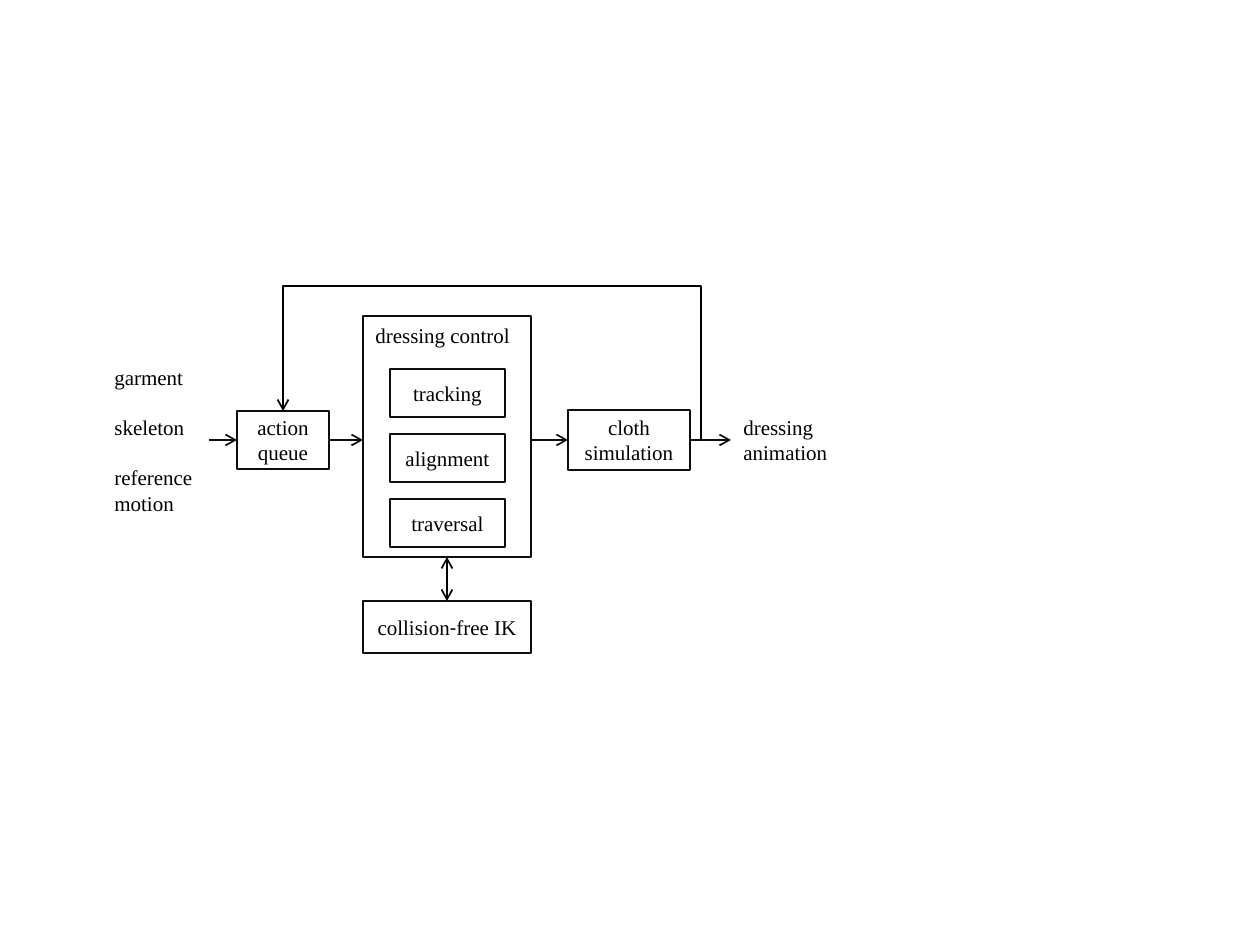
from dataclasses import dataclass
from typing import Optional

import pptx
import pptx.dml.color
import pptx.enum.shapes
import pptx.enum.text
import pptx.oxml
import pptx.oxml.ns
import pptx.util

EMU_PER_PX = 914400 // 126
qn = pptx.oxml.ns.qn
RGB = pptx.dml.color.RGBColor
ALIGN = pptx.enum.text.PP_ALIGN
CONNECTOR = pptx.enum.shapes.MSO_CONNECTOR


@dataclass(frozen=True)
class Theme:
    font: str = "Times New Roman"
    hyphen_font: str = "Calibri"
    size: float = 12
    paragraph_gap: float = 14.4
    box_line: float = 0.75
    arrow_line: float = 1
    paper: RGB = RGB(0xFF, 0xFF, 0xFF)
    outline: RGB = RGB(0x0D, 0x0D, 0x0D)
    ink: RGB = RGB(0, 0, 0)


@dataclass(frozen=True)
class Box:
    x: int
    y: int
    w: int
    h: int
    lines: tuple[str, ...] = ()


@dataclass(frozen=True)
class Label:
    x: int
    y: int
    w: int
    h: int
    lines: tuple[str, ...]
    wrap: bool = False
    spaced: tuple[int, ...] = ()  # indexes of lines with a gap above


@dataclass(frozen=True)
class Arrow:
    x1: int
    y1: int
    x2: int
    y2: int
    begin: Optional[tuple[str, int]] = None  # box name, side
    end: Optional[tuple[str, int]] = None
    color: RGB = Theme.outline
    both_ends: bool = False


THEME = Theme()
TOP, LEFT, BOTTOM, RIGHT = range(4)
FLOW_Y = 440
MODES = ("tracking", "alignment", "traversal")
MODE_TOP, MODE_STEP = 369, 65

BOXES = {
    "control": Box(363, 316, 168, 241),
    "queue": Box(237, 411, 92, 58, ("action", "queue")),
    "cloth": Box(568, 410, 122, 60, ("cloth", "simulation")),
    "ik": Box(363, 601, 168, 52, ("collision-free IK",)),
    **{mode: Box(390, MODE_TOP + i * MODE_STEP, 115, 48, (mode,))
       for i, mode in enumerate(MODES)},
}
LABELS = (
    Label(363, 316, 161, 38, ("dressing control",)),
    Label(102, 358, 107, 165, ("garment", "skeleton", "reference", "motion"),
          wrap=True, spaced=(1, 2)),
    Label(731, 408, 113, 63, ("dressing", "animation")),
)
ARROWS = (
    Arrow(209, FLOW_Y, 237, FLOW_Y, end=("queue", LEFT)),
    Arrow(329, FLOW_Y, 363, FLOW_Y, begin=("queue", RIGHT)),
    Arrow(531, FLOW_Y, 568, FLOW_Y, end=("cloth", LEFT)),
    Arrow(690, FLOW_Y, 731, FLOW_Y, begin=("cloth", RIGHT)),
    Arrow(447, 557, 447, 601, ("control", BOTTOM), ("ik", TOP), THEME.ink, True),
)


def px(n: int) -> int:
    return pptx.util.Emu(n * EMU_PER_PX)


def write_lines(tf, lines: tuple[str, ...], align, spaced: tuple[int, ...] = ()) -> None:
    for i, line in enumerate(lines):
        p = tf.paragraphs[0] if i == 0 else tf.add_paragraph()
        p.alignment = align
        p.font.name = THEME.font
        p.font.size = pptx.util.Pt(THEME.size)
        p.font.color.rgb = THEME.ink
        if i in spaced:
            p.space_before = pptx.util.Pt(THEME.paragraph_gap)
        before, hyphen, after = line.partition("-")
        for text in filter(None, (before, hyphen, after)):
            r = p.add_run()
            r.text = text
            if hyphen:
                r.font.name = THEME.hyphen_font if text == hyphen else THEME.font


def draw_box(s, box: Box):
    sp = s.shapes.add_shape(pptx.enum.shapes.MSO_SHAPE.RECTANGLE,
                            px(box.x), px(box.y), px(box.w), px(box.h))
    sp.shadow.inherit = False
    sp.fill.solid()
    sp.fill.fore_color.rgb = THEME.paper
    sp.line.color.rgb = THEME.outline
    sp.line.width = pptx.util.Pt(THEME.box_line)
    sp.text_frame.vertical_anchor = pptx.enum.text.MSO_ANCHOR.MIDDLE
    write_lines(sp.text_frame, box.lines, ALIGN.CENTER)
    return sp


def draw_label(s, label: Label) -> None:
    sp = s.shapes.add_textbox(px(label.x), px(label.y), px(label.w), px(label.h))
    sp.text_frame.word_wrap = label.wrap
    write_lines(sp.text_frame, label.lines, ALIGN.LEFT, label.spaced)


def style_arrow(sp, color: RGB, both_ends: bool = False) -> None:
    sp.line.color.rgb = color
    sp.line.width = pptx.util.Pt(THEME.arrow_line)
    ln = sp.line._get_or_add_ln()
    for tag in ("a:headEnd", "a:tailEnd") if both_ends else ("a:tailEnd",):
        end = pptx.oxml.parse_xml(f'<{tag} {pptx.oxml.ns.nsdecls("a")} type="arrow"/>')
        ln.append(end)
    effects = pptx.oxml.parse_xml(f'<a:effectLst {pptx.oxml.ns.nsdecls("a")}/>')
    sp._element.spPr.append(effects)


def draw_arrow(s, arrow: Arrow, shapes: dict) -> None:
    sp = s.shapes.add_connector(CONNECTOR.STRAIGHT, px(arrow.x1), px(arrow.y1),
                                px(arrow.x2), px(arrow.y2))
    if arrow.begin:
        name, side = arrow.begin
        sp.begin_connect(shapes[name], side)
    if arrow.end:
        name, side = arrow.end
        sp.end_connect(shapes[name], side)
    style_arrow(sp, arrow.color, arrow.both_ends)


def draw_feedback(s, left: int, right: int, top: int, queue_top: int) -> None:
    """Lead from the output flow up, across, and down to the queue."""
    sp = s.shapes.add_connector(CONNECTOR.ELBOW, px(left), px(queue_top),
                                px(right), px(FLOW_Y))
    spPr = sp._element.spPr
    spPr.find(qn("a:xfrm")).set("rot", "10800000")  # start at the lower right
    geom = spPr.find(qn("a:prstGeom"))
    geom.set("prst", "bentConnector4")
    rise = round(100000 * (FLOW_Y - top) / (FLOW_Y - queue_top))
    guides = geom.find(qn("a:avLst"))
    for name, value in (("adj1", 0), ("adj2", rise)):
        guides.append(pptx.oxml.parse_xml(
            f'<a:gd {pptx.oxml.ns.nsdecls("a")} name="{name}" fmla="val {value}"/>'))
    style_arrow(sp, THEME.ink)


def main() -> None:
    prs = pptx.Presentation()
    prs.slide_width = pptx.util.Inches(10)
    prs.slide_height = pptx.util.Inches(7.5)
    s = prs.slides.add_slide(prs.slide_layouts[6])
    shapes = {name: draw_box(s, box) for name, box in BOXES.items()}
    for label in LABELS:
        draw_label(s, label)
    for arrow in ARROWS:
        draw_arrow(s, arrow, shapes)
    draw_feedback(s, left=283, right=701, top=286, queue_top=BOXES["queue"].y)
    prs.save("out.pptx")


if __name__ == "__main__":
    main()
